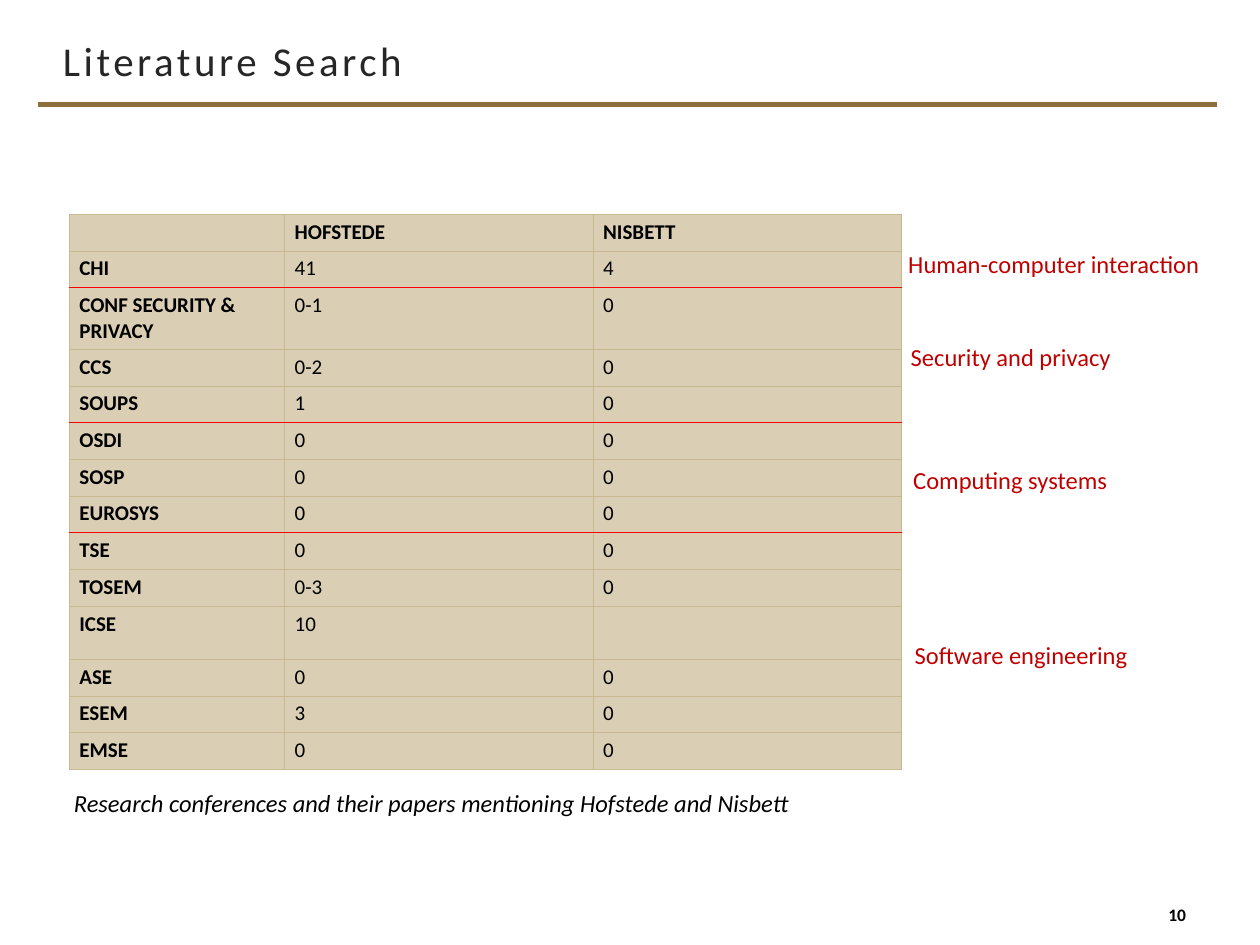
from itertools import accumulate

from lxml.etree import SubElement
from pptx import Presentation
from pptx.dml.color import RGBColor
from pptx.enum.shapes import MSO_CONNECTOR as Connector, MSO_SHAPE as Shape
from pptx.enum.text import MSO_ANCHOR as Anchor, MSO_AUTO_SIZE as AutoSize, PP_ALIGN as Align
from pptx.oxml import parse_xml
from pptx.oxml.ns import nsdecls, qn
from pptx.util import Cm, Pt

TITLE = "Literature Search"
CAPTION = "Research conferences and their papers mentioning Hofstede and Nisbett"
PAGE_NUMBER = "10"
HEADER = ("", "HOFSTEDE", "NISBETT")
FIELDS = [
    ("Human-computer interaction", (18.06, 4.9, 6.71), [("CHI", "41", "4")]),
    ("Security and privacy", (18.11, 6.78, 5.16), [
        ("CONF SECURITY & PRIVACY", "0-1", "0"),
        ("CCS", "0-2", "0"),
        ("SOUPS", "1", "0"),
    ]),
    ("Computing systems", (18.16, 9.25, 4.88), [
        ("OSDI", "0", "0"),
        ("SOSP", "0", "0"),
        ("EUROSYS", "0", "0"),
    ]),
    ("Software engineering", (18.19, 12.78, 5.16), [
        ("TSE", "0", "0"),
        ("TOSEM", "0-3", "0"),
        ("ICSE", "10", ""),
        ("ASE", "0", "0"),
        ("ESEM", "3", "0"),
        ("EMSE", "0", "0"),
    ]),
]
TABLE_LEFT, TABLE_TOP = 1.4, 4.32
COLUMN_WIDTHS = (4.34, 6.22, 6.22)
ROW_HEIGHT = 0.74
TALL_ROWS = {"CONF SECURITY & PRIVACY": 1.24, "ICSE": 1.07}

THEME = {
    "font": "Calibri",
    "rule": "8E6F3E",
    "divider": "FF0000",
    "border": "C9B991",
    "cell": "DACEB5",
    "title": {"size": 23.4, "color": "262626"},
    "table": {"size": 12, "color": "000000"},
    "label": {"size": 14, "color": "C00000"},
    "caption": {"size": 14, "color": "000000", "italic": True},
    "number": {"size": 10, "color": "000000", "bold": True},
}


def write(frame, text, style, **extra):
    """Put one styled run of text in a frame and return its run."""
    run = frame.paragraphs[0].add_run()
    run.text = text
    formats = {**style, **extra}
    run.font.color.rgb = RGBColor.from_string(formats.pop("color"))
    formats.update(size=Pt(formats["size"]), name=THEME["font"])
    for key, value in formats.items():
        setattr(run.font, key, value)
    return run


def set_frame(frame, **formats):
    """Apply format values to a text frame."""
    for key, value in formats.items():
        setattr(frame, key, value)


def add_text(slide, box, text, style, **formats):
    """Add a wrapped text box and return its run."""
    frame = slide.shapes.add_textbox(*map(Cm, box)).text_frame
    set_frame(frame, word_wrap=True, **formats)
    return write(frame, text, style)


def add_rule(slide, left, right, y, color, width):
    """Add a horizontal line without shadow."""
    rule = slide.shapes.add_connector(Connector.STRAIGHT, Cm(left), Cm(y), Cm(right), Cm(y))
    rule.line.color.rgb = RGBColor.from_string(color)
    rule.line.width = Pt(width)
    SubElement(rule._element.spPr, qn("a:effectLst"))


def fill_cell(cell, text, bold):
    """Write, fill and border one table cell."""
    for side in ("left", "right"):
        setattr(cell, f"margin_{side}", Cm(0.2))
    for side in ("top", "bottom"):
        setattr(cell, f"margin_{side}", Cm(0.1))
    if text:
        write(cell.text_frame, text, THEME["table"], bold=bold)
    else:
        end = SubElement(cell.text_frame.paragraphs[0]._p, qn("a:endParaRPr"))
        end.set("sz", str(THEME["table"]["size"] * 100))
    cell.fill.solid()
    cell.fill.fore_color.rgb = RGBColor.from_string(THEME["cell"])
    for index, side in enumerate("LRTB"):
        cell._tc.tcPr.insert(index, parse_xml(
            f'<a:ln{side} {nsdecls("a")} w="{Pt(0.5)}"><a:solidFill>'
            f'<a:srgbClr val="{THEME["border"]}"/></a:solidFill></a:ln{side}>'))


def add_counts(slide, rows, heights):
    """Add the table of paper counts."""
    counts = slide.shapes.add_table(
        len(rows), len(HEADER), Cm(TABLE_LEFT), Cm(TABLE_TOP),
        Cm(sum(COLUMN_WIDTHS)), Cm(sum(heights))).table
    for column, width in zip(counts.columns, COLUMN_WIDTHS):
        column.width = Cm(width)
    for r, (values, height) in enumerate(zip(rows, heights)):
        counts.rows[r].height = Cm(height)
        for c, value in enumerate(values):
            fill_cell(counts.cell(r, c), value, bold=r == 0 or c == 0)


def add_page_number(slide):
    """Add the page number in an unfilled circle."""
    badge = slide.shapes.add_shape(Shape.OVAL, Cm(23.22), Cm(17.93), Cm(1.02), Cm(1.02))
    badge.shadow.inherit = False
    badge.fill.background()
    badge.line.fill.background()
    set_frame(badge.text_frame, margin_left=Cm(0.05), margin_right=Cm(0.05),
              vertical_anchor=Anchor.MIDDLE, word_wrap=False)
    badge.text_frame.paragraphs[0].alignment = Align.CENTER
    write(badge.text_frame, PAGE_NUMBER, THEME["number"])


def main():
    """Build the literature search slide."""
    deck = Presentation()
    deck.slide_width, deck.slide_height = Cm(25.4), Cm(19.05)
    slide = deck.slides.add_slide(deck.slide_layouts[6])

    add_rule(slide, 0.76, 24.54, 2.11, THEME["rule"], 3)
    margins = {f"margin_{side}": Cm(0.51) for side in ("left", "right", "top", "bottom")}
    title = add_text(slide, (0.76, 0.33, 22.35, 1.78), TITLE, THEME["title"],
                     vertical_anchor=Anchor.MIDDLE, **margins)
    title.font._element.set("spc", "200")
    add_page_number(slide)

    rows = [HEADER] + [row for _, _, members in FIELDS for row in members]
    heights = [TALL_ROWS.get(row[0], ROW_HEIGHT) for row in rows]
    add_counts(slide, rows, heights)

    bottoms = list(accumulate(heights, initial=TABLE_TOP))
    field_ends = list(accumulate((len(members) for _, _, members in FIELDS), initial=1))
    for end in field_ends[1:-1]:
        add_rule(slide, TABLE_LEFT, TABLE_LEFT + sum(COLUMN_WIDTHS), bottoms[end],
                 THEME["divider"], 0.5)

    for field, (left, top, width), _ in FIELDS:
        add_text(slide, (left, top, width, 0.86), field, THEME["label"],
                 auto_size=AutoSize.SHAPE_TO_FIT_TEXT)
    add_text(slide, (1.24, 15.77, 16.76, 1.63), CAPTION, THEME["caption"])
    deck.save("out.pptx")


if __name__ == "__main__":
    main()
